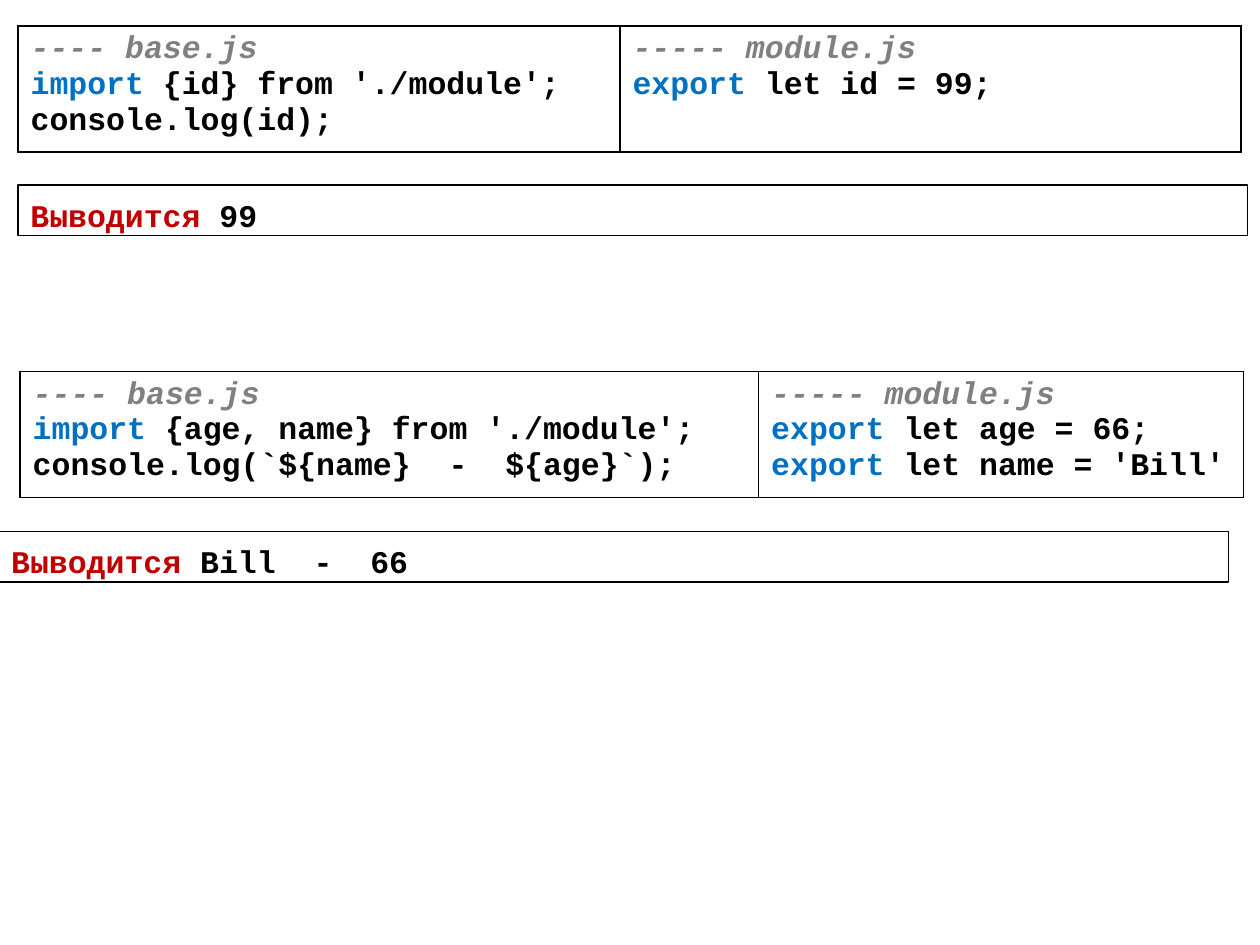
from pptx import Presentation
from pptx.util import Pt
from pptx.dml.color import RGBColor as Rgb
from pptx.enum.shapes import MSO_SHAPE as Kind
from pptx.enum.text import PP_ALIGN as Align, MSO_ANCHOR as Anchor
from pptx.oxml import parse_xml
from pptx.oxml.ns import nsdecls

BLACK, GRAY, BLUE, RED = "000000", "808080", "0070C0", "C00000"


def paint(target, color):
    target.rgb = Rgb.from_string(color)


def write(frame, lines):
    for n, line in enumerate(lines):
        para = frame.paragraphs[0] if n == 0 else frame.add_paragraph()
        para.alignment = Align.LEFT
        for text, color in line:
            run = para.add_run()
            run.text = text
            font = run.font
            font.name, font.size, font.bold = "Courier New", Pt(18), True
            font.italic = color == GRAY
            paint(font.color, color)


def frame_cell(cell):
    props = cell._tc.get_or_add_tcPr()
    for n, side in enumerate(("lnL", "lnR", "lnT", "lnB")):
        props.insert(n, parse_xml(
            f'<a:{side} {nsdecls("a")} w="12700"><a:solidFill>'
            f'<a:srgbClr val="{BLACK}"/></a:solidFill></a:{side}>'))


def add_code(slide, left, top, widths, files):
    table = slide.shapes.add_table(
        1, len(files), Pt(left), Pt(top), Pt(sum(widths)), Pt(72)).table
    table.first_row = table.horz_banding = False
    for n, (width, lines) in enumerate(zip(widths, files)):
        table.columns[n].width = Pt(width)
        cell = table.cell(0, n)
        cell.fill.background()
        frame_cell(cell)
        write(cell.text_frame, lines)


def add_result(slide, left, top, value):
    box = slide.shapes.add_shape(
        Kind.RECTANGLE, Pt(left), Pt(top), Pt(702.7), Pt(28.8))
    box.shadow.inherit = False
    box.fill.background()
    paint(box.line.color, BLACK)
    box.line.width = Pt(0.75)
    frame = box.text_frame
    frame.word_wrap = True
    frame.vertical_anchor = Anchor.TOP
    frame.margin_top, frame.margin_bottom = Pt(6), Pt(1)
    write(frame, [[("Выводится ", RED), (value, BLACK)]])


def title(text):
    return [(text, GRAY)]


def key(word, rest):
    return [(word, BLUE), (rest, BLACK)]


deck = Presentation()
deck.slide_width, deck.slide_height = Pt(720), Pt(540)
slide = deck.slides.add_slide(deck.slide_layouts[6])

add_result(slide, 10.3, 105.8, "99")
add_code(slide, 10.3, 15, (344, 355), (
    [title("---- base.js"),
     key("import", " {id} from './module';"),
     [("console.log(id);", BLACK)]],
    [title("----- module.js"),
     key("export", " let id = 99;")]))

add_result(slide, -0.7, 303.8, "Bill  -  66")
add_code(slide, 11.5, 212.4, (422, 277), (
    [title("---- base.js"),
     key("import", " {age, name} from './module';"),
     [("console.log(`${name}  -  ${age}`);", BLACK)]],
    [title("----- module.js"),
     key("export", " let age = 66;"),
     key("export", " let name = 'Bill'")]))

deck.save("out.pptx")
